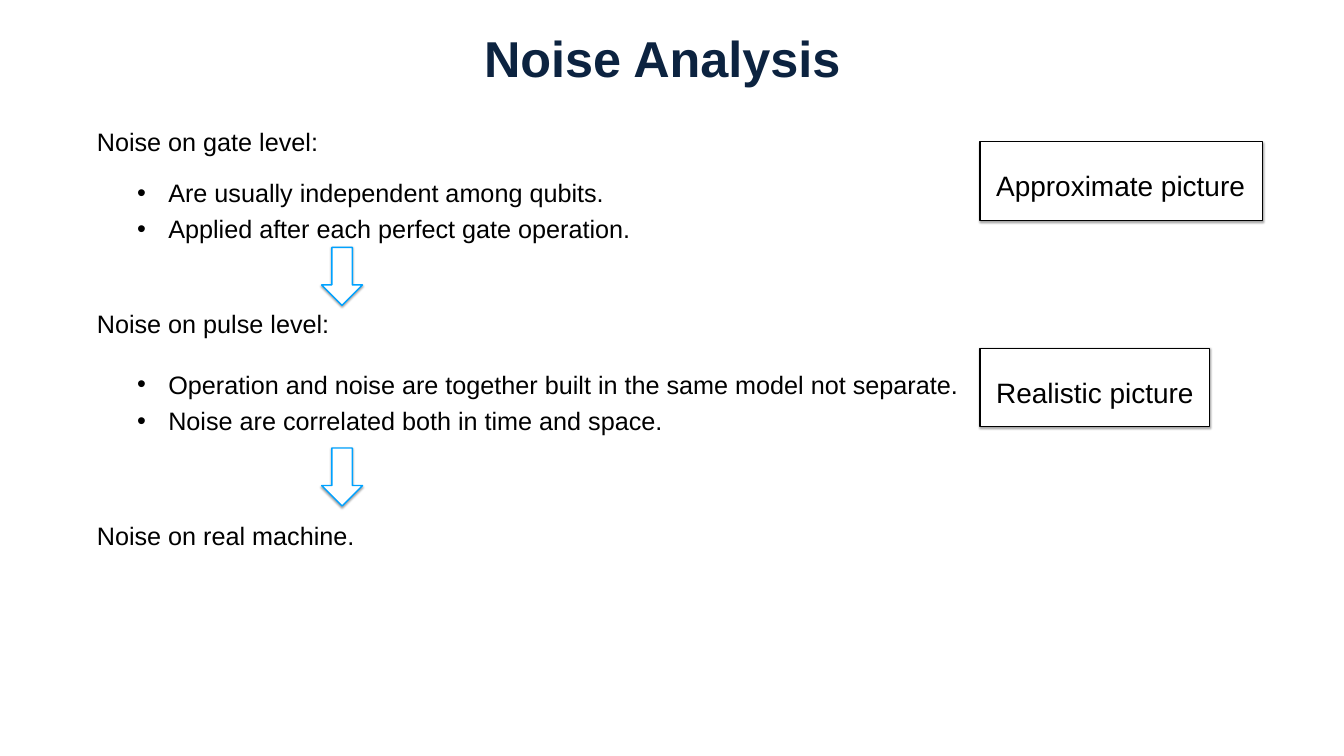
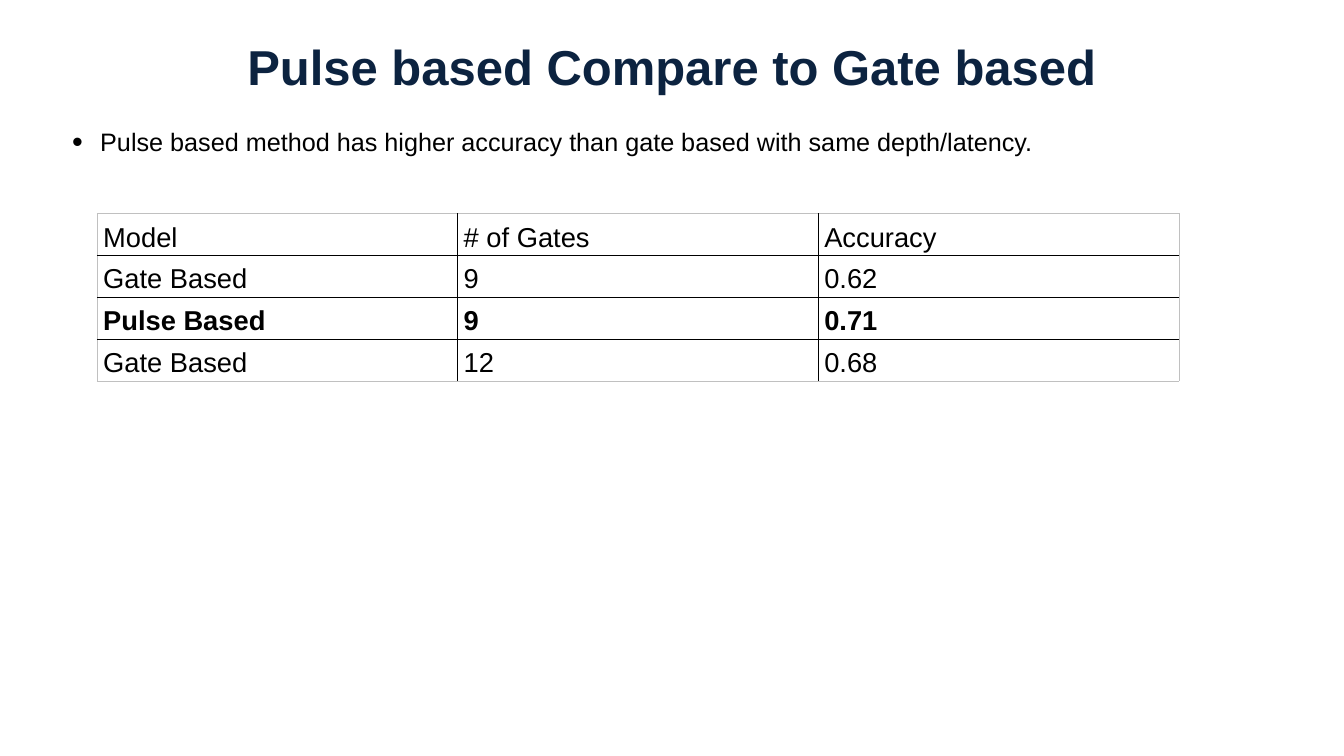
from lxml import etree
from pptx import Presentation
from pptx.dml.color import RGBColor
from pptx.enum.shapes import MSO_SHAPE
from pptx.enum.text import MSO_ANCHOR, MSO_AUTO_SIZE, PP_ALIGN
from pptx.oxml.ns import qn
from pptx.util import Cm, Pt

COLORS = {
    "title": "0C2340",
    "text": "000000",
    "paper": "FFFFFF",
    "arrow": "00A2FF",
    "frame": "000000",
    "grid": "000000",
    "table_edge": "C0C0C0",
}
FONT = "Arial"
TEXT_SIZE = 36


def color(name):
    """Return a palette colour."""
    return RGBColor.from_string(COLORS[name])


def place(shape, box):
    """Move a shape to a box of (left, top, width, height) in cm."""
    shape.left, shape.top, shape.width, shape.height = (Cm(value) for value in box)


def set_frame(text_frame, anchor, margin_x, margin_y):
    """Set wrapping, anchor and margins (cm) of a text frame."""
    text_frame.word_wrap = True
    text_frame.auto_size = MSO_AUTO_SIZE.NONE
    text_frame.vertical_anchor = anchor
    text_frame.margin_left = text_frame.margin_right = Cm(margin_x)
    text_frame.margin_top = text_frame.margin_bottom = Cm(margin_y)


def format_paragraph(paragraph, size, align, spacing=1.0, bold=False, name="text"):
    """Format a paragraph and all its runs."""
    paragraph.alignment = align
    paragraph.line_spacing = spacing
    for run in paragraph.runs:
        run.font.name = FONT
        run.font.size = Pt(size)
        run.font.bold = bold
        run.font.color.rgb = color(name)


def add_bullet(paragraph, indent, percent=100):
    """Give a paragraph a hanging bullet; the indent is in cm."""
    properties = paragraph._p.get_or_add_pPr()
    properties.set("marL", str(Cm(indent)))
    properties.set("indent", str(-Cm(indent)))
    etree.SubElement(properties, qn("a:buSzPct"), val=str(percent * 1000))
    etree.SubElement(properties, qn("a:buFont"), typeface=FONT)
    etree.SubElement(properties, qn("a:buChar"), char="•")


def add_shadow(shape):
    """Replace the theme shadow by a soft one straight below."""
    shape.shadow.inherit = False
    effects = shape.element.spPr.find(qn("a:effectLst"))
    shadow = etree.SubElement(effects, qn("a:outerShdw"), blurRad=str(Pt(3)),
                              dist=str(Pt(1.8)), dir="5400000", rotWithShape="0")
    shade = etree.SubElement(shadow, qn("a:srgbClr"), val="000000")
    etree.SubElement(shade, qn("a:alpha"), val="35000")


def add_outline_shape(slide, kind, box, line):
    """Add a white shape with a coloured outline and a shadow."""
    shape = slide.shapes.add_shape(kind, *(Cm(value) for value in box))
    shape.fill.solid()
    shape.fill.fore_color.rgb = color("paper")
    shape.line.color.rgb = color(line)
    shape.line.width = Pt(2)
    add_shadow(shape)


def set_title(slide, text, box, size):
    """Fill the title placeholder."""
    title = slide.shapes.title
    place(title, box)
    title.text_frame.text = text
    set_frame(title.text_frame, MSO_ANCHOR.MIDDLE, 0, 0)
    format_paragraph(title.text_frame.paragraphs[0], size, PP_ALIGN.CENTER,
                     0.85, True, "title")


def add_text(slide, lines, box, size=TEXT_SIZE, anchor=MSO_ANCHOR.TOP,
             spacing=1.2, indent=0):
    """Add a text box, as a bullet list when an indent is given."""
    text_box = slide.shapes.add_textbox(*(Cm(value) for value in box))
    text_box.text_frame.text = "\n".join(lines)
    set_frame(text_box.text_frame, anchor, 0.13, 0.13)
    for paragraph in text_box.text_frame.paragraphs:
        format_paragraph(paragraph, size, PP_ALIGN.JUSTIFY, spacing)
        if indent:
            add_bullet(paragraph, indent)


def add_level(slide, heading, bullets, box, list_offset):
    """Add a noise level: a heading and the bullets below it."""
    left, top, width, height = box
    add_text(slide, [heading], box, anchor=MSO_ANCHOR.MIDDLE, spacing=1.0)
    if bullets:
        add_text(slide, bullets, (left + 2.03, top + list_offset, width, height + 2.13),
                 indent=1.57)


def add_label(slide, text, box):
    """Add a framed label."""
    left, top, width, height = box
    add_outline_shape(slide, MSO_SHAPE.RECTANGLE, box, "frame")
    add_text(slide, [text], (left + 0.69, top + 0.91, width - 0.69, height - 1.65), size=40)


def set_border(cell, side, name, width):
    """Draw one side (L, R, T or B) of a table cell."""
    line = etree.SubElement(cell._tc.get_or_add_tcPr(), qn(f"a:ln{side}"), w=str(Pt(width)))
    fill = etree.SubElement(line, qn("a:solidFill"))
    etree.SubElement(fill, qn("a:srgbClr"), val=COLORS[name])


def add_results_table(slide, rows, box, bold_row):
    """Add a plain grid with equal columns and one bold row."""
    row_count, column_count = len(rows), len(rows[0])
    table = slide.shapes.add_table(row_count, column_count,
                                   *(Cm(value) for value in box)).table
    table.first_row = table.horz_banding = False
    for row, values in enumerate(rows):
        for column, value in enumerate(values):
            cell = table.cell(row, column)
            cell.text = value
            cell.margin_left = cell.margin_right = Cm(0.3)
            cell.margin_top = cell.margin_bottom = Cm(0.13)
            format_paragraph(cell.text_frame.paragraphs[0], 39, PP_ALIGN.LEFT,
                             1.2, row == bold_row)
            edges = {"L": column == 0, "R": column == column_count - 1,
                     "T": row == 0, "B": row == row_count - 1}
            for side, outer in edges.items():
                set_border(cell, side, "table_edge" if outer else "grid", 1)
            cell.fill.background()


def build_noise_slide(presentation):
    """Build the slide on noise at gate, pulse and machine level."""
    slide = presentation.slides.add_slide(presentation.slide_layouts[5])
    set_title(slide, "Noise Analysis", (1.73, -0.38, 63.3, 6.99), 72)
    levels = [
        ("Noise on gate level:", 6.22, 2.29,
         ["Are usually independent among qubits.",
          "Applied after each perfect gate operation."]),
        ("Noise on pulse level:", 15.39, 2.77,
         ["Operation and noise are together built in the same model not separate.",
          "Noise are correlated both in time and space."]),
        ("Noise on real machine.", 26.06, 0, []),
    ]
    for heading, top, list_offset, bullets in levels:
        add_level(slide, heading, bullets, (4.75, top, 55.85, 1.83), list_offset)
    for top in (12.47, 22.58):
        add_outline_shape(slide, MSO_SHAPE.DOWN_ARROW, (16.21, top, 2.06, 2.92), "arrow")
    for text, top, width in (("Approximate picture", 7.14, 14.25),
                             ("Realistic picture", 17.55, 11.58)):
        add_label(slide, text, (49.38, top, width, 3.96))


def build_comparison_slide(presentation):
    """Build the slide that compares pulse and gate based models."""
    slide = presentation.slides.add_slide(presentation.slide_layouts[1])
    set_title(slide, "Pulse based Compare to Gate based", (3.38, 0.05, 60.96, 6.99), 70)
    body = slide.placeholders[1]
    place(body, (3.38, 5.94, 60.96, 22.1))
    body.text_frame.text = ("Pulse based method has higher accuracy than gate based "
                            "with same depth/latency.")
    set_frame(body.text_frame, MSO_ANCHOR.TOP, 0.25, 0.13)
    paragraph = body.text_frame.paragraphs[0]
    format_paragraph(paragraph, TEXT_SIZE, PP_ALIGN.LEFT, 1.2)
    paragraph.space_before = Pt(14)
    add_bullet(paragraph, 1.42, 122)
    rows = [
        ("Model", "# of Gates", "Accuracy"),
        ("Gate Based", "9", "0.62"),
        ("Pulse Based", "9", "0.71"),
        ("Gate Based", "12", "0.68"),
    ]
    add_results_table(slide, rows, (4.9, 10.77, 54.51, 8.43), bold_row=2)


def main():
    """Build and save the presentation."""
    presentation = Presentation()
    presentation.slide_width = Cm(67.73)
    presentation.slide_height = Cm(38.1)
    build_noise_slide(presentation)
    build_comparison_slide(presentation)
    presentation.save("out.pptx")


main()
